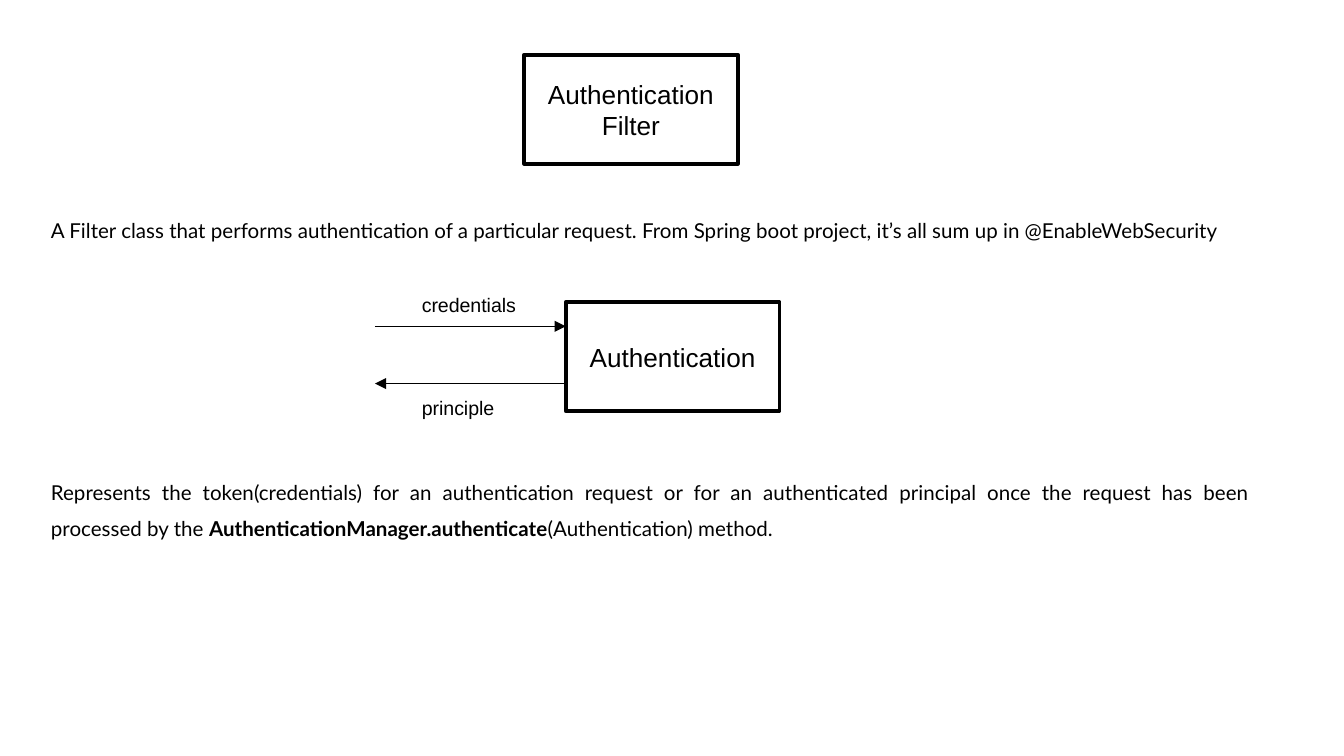
"""Build a slide that explains the authentication filter and the authentication token."""
from lxml.etree import SubElement
from pptx import Presentation
from pptx.dml.color import RGBColor
from pptx.enum.shapes import MSO_CONNECTOR as CONNECTOR, MSO_SHAPE as SHAPE
from pptx.enum.text import MSO_ANCHOR as ANCHOR, MSO_AUTO_SIZE as AUTO_SIZE, PP_ALIGN as ALIGN
from pptx.oxml.ns import qn
from pptx.util import Pt

BLACK, WHITE = "000000", "FFFFFF"
BOX_SIZE = (114.5, 58.5)
LABEL_SIZE = (68.5, 21)
NOTE_LEFT, NOTE_SIZE = 20.2, (656.5, 36)
OUTER_X, BOX_X, LABEL_X = 200.9, 303.1, 218.9

BOXES = [
    (280.8, 29.3, ["Authentication", "Filter"]),
    (BOX_X, 161.8, ["Authentication"]),
]
FLOWS = [
    ("credentials", 153.4, 174.8, OUTER_X, BOX_X),
    ("principle", 208.8, 205.5, BOX_X, OUTER_X),
]
NOTES = [
    (103, [("A Filter class that performs authentication of a particular request. "
            "From Spring boot project, it’s all sum up in @EnableWebSecurity", False)]),
    (243.1, [("Represents the token(credentials) for an authentication request or for an "
              "authenticated principal once the request has been processed by the ", False),
             ("AuthenticationManager.authenticate", True),
             ("(Authentication) method.", False)]),
]


def color(value):
    return RGBColor.from_string(value)


def style(paragraph, name, size, align):
    paragraph.alignment = align
    paragraph.font.name = name
    paragraph.font.size = Pt(size)
    paragraph.font.color.rgb = color(BLACK)


def set_margins(frame, vertical):
    frame.word_wrap = True
    frame.margin_left = frame.margin_right = Pt(7.2)
    frame.margin_top = frame.margin_bottom = Pt(vertical)


def add_box(slide, left, top, lines):
    shape = slide.shapes.add_shape(SHAPE.RECTANGLE, Pt(left), Pt(top), *map(Pt, BOX_SIZE))
    shape.shadow.inherit = False
    shape.fill.solid()
    shape.fill.fore_color.rgb = color(WHITE)
    shape.line.color.rgb = color(BLACK)
    shape.line.width = Pt(2)
    frame = shape.text_frame
    set_margins(frame, 3.6)
    frame.vertical_anchor = ANCHOR.MIDDLE
    frame.text = "\n".join(lines)
    for paragraph in frame.paragraphs:
        style(paragraph, "Arial", 14, ALIGN.CENTER)


def add_flow(slide, label, label_top, arrow_y, start_x, end_x):
    arrow = slide.shapes.add_connector(
        CONNECTOR.STRAIGHT, Pt(start_x), Pt(arrow_y), Pt(end_x), Pt(arrow_y))
    arrow.line.color.rgb = color(BLACK)
    arrow.line.width = Pt(0.75)
    properties = arrow._element.spPr
    SubElement(properties.find(qn("a:ln")), qn("a:tailEnd"), type="triangle")
    SubElement(properties, qn("a:effectLst"))
    textbox = slide.shapes.add_textbox(Pt(LABEL_X), Pt(label_top), *map(Pt, LABEL_SIZE))
    frame = textbox.text_frame
    set_margins(frame, 3.6)
    frame.auto_size = AUTO_SIZE.SHAPE_TO_FIT_TEXT
    frame.text = label
    style(frame.paragraphs[0], "Arial", 10.5, ALIGN.LEFT)


def add_note(slide, top, runs):
    textbox = slide.shapes.add_textbox(Pt(NOTE_LEFT), Pt(top), *map(Pt, NOTE_SIZE))
    frame = textbox.text_frame
    set_margins(frame, 7.2)
    paragraph = frame.paragraphs[0]
    style(paragraph, "Lato", 11, ALIGN.JUSTIFY)
    paragraph.line_spacing = 1.5
    for text, bold in runs:
        run = paragraph.add_run()
        run.text = text
        run.font.bold = bold


def main():
    presentation = Presentation()
    presentation.slide_width, presentation.slide_height = Pt(720), Pt(405)
    slide = presentation.slides.add_slide(presentation.slide_layouts[6])
    for box in BOXES:
        add_box(slide, *box)
    for flow in FLOWS:
        add_flow(slide, *flow)
    for note in NOTES:
        add_note(slide, *note)
    presentation.save("out.pptx")


if __name__ == "__main__":
    main()
